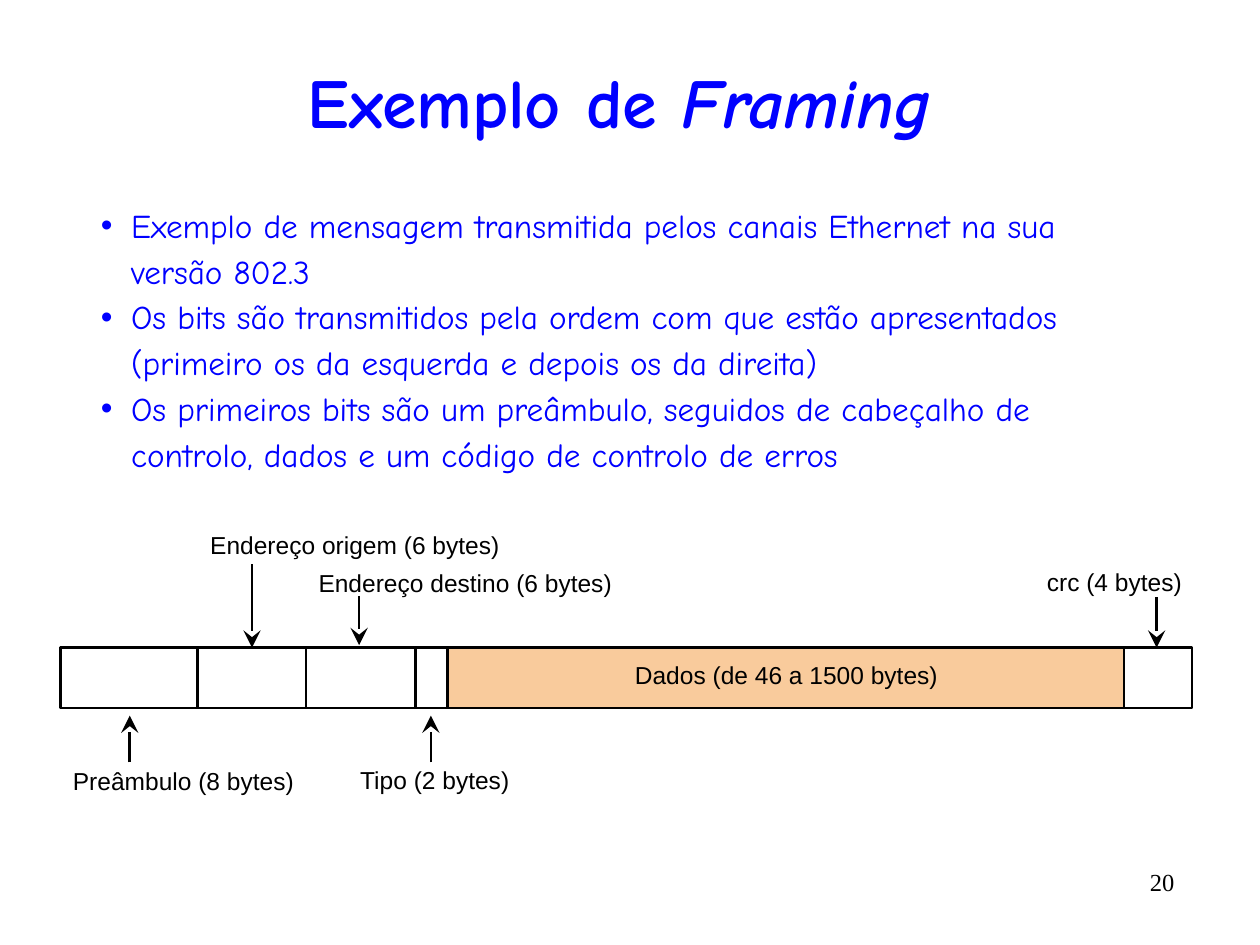
import pptx
import pptx.dml.color
import pptx.enum.shapes
import pptx.enum.text
import pptx.oxml
import pptx.oxml.ns
import pptx.util
from pptx.util import Inches

BLUE = pptx.dml.color.RGBColor(0x00, 0x00, 0xFF)
BLACK = pptx.dml.color.RGBColor(0x00, 0x00, 0x00)
ORANGE = pptx.dml.color.RGBColor(0xF9, 0xCB, 0x9C)
ALIGN = pptx.enum.text.PP_ALIGN
ANCHOR = pptx.enum.text.MSO_ANCHOR


def add_run(paragraph, text, size=14, font="Arial", color=BLACK, bold=False, italic=False):
    run = paragraph.add_run()
    run.text = text
    run.font.size = pptx.util.Pt(size)
    run.font.name = font
    run.font.color.rgb = color
    run.font.bold = bold
    run.font.italic = italic


def place(shape, left, top, width, height, anchor=ANCHOR.TOP, margin=0.05):
    """Position a text shape and set its frame; margin is the vertical inset."""
    shape.left, shape.top = Inches(left), Inches(top)
    shape.width, shape.height = Inches(width), Inches(height)
    frame = shape.text_frame
    frame.word_wrap = True
    frame.auto_size = pptx.enum.text.MSO_AUTO_SIZE.NONE
    frame.vertical_anchor = anchor
    frame.margin_left = frame.margin_right = Inches(0.1)
    frame.margin_top = frame.margin_bottom = Inches(margin)
    return frame


presentation = pptx.Presentation()
presentation.slide_width, presentation.slide_height = Inches(10), Inches(7.5)
slide = presentation.slides.add_slide(presentation.slide_layouts[1])

# Title
title = place(slide.shapes.title, 0.33, 0.42, 9.17, 0.75, ANCHOR.MIDDLE).paragraphs[0]
title.alignment = ALIGN.CENTER
for text, italic in [("Exemplo de ", False), ("Framing", True)]:
    add_run(title, text, size=40, font="Comic Neue", color=BLUE, bold=True, italic=italic)

# Bullet list
bullets = [
    "Exemplo de mensagem transmitida pelos canais Ethernet na sua versão 802.3",
    "Os bits são transmitidos pela ordem com que estão apresentados "
    "(primeiro os da esquerda e depois os da direita)",
    "Os primeiros bits são um preâmbulo, seguidos de cabeçalho de controlo, "
    "dados e um código de controlo de erros",
]
body = place(slide.placeholders[1], 0.7, 1.53, 8.43, 2.45)
for index, text in enumerate(bullets):
    paragraph = body.paragraphs[0] if index == 0 else body.add_paragraph()
    paragraph.line_spacing = 1.15
    paragraph.space_before = paragraph.space_after = pptx.util.Pt(0)
    properties = paragraph._p.get_or_add_pPr()
    properties.set("marL", str(Inches(0.24)))
    properties.set("indent", str(-Inches(0.25)))
    namespace = pptx.oxml.ns.nsdecls("a")
    properties.append(pptx.oxml.parse_xml(
        f'<a:buClr {namespace}><a:srgbClr val="{BLUE}"/></a:buClr>'))
    properties.append(pptx.oxml.parse_xml(f'<a:buChar {namespace} char="•"/>'))
    add_run(paragraph, text, size=19, font="Comic Neue", color=BLUE)

# Frame fields, left to right
FRAME_TOP, FRAME_HEIGHT = 5.14, 0.48
edges = [0.48, 1.57, 2.43, 3.3, 3.55, 8.92, 9.46]
DATA_FIELD = 4
for index, (left, right) in enumerate(zip(edges, edges[1:])):
    field = slide.shapes.add_shape(
        pptx.enum.shapes.MSO_SHAPE.RECTANGLE,
        Inches(left), Inches(FRAME_TOP), Inches(right - left), Inches(FRAME_HEIGHT))
    field.shadow.inherit = False
    field.line.color.rgb = BLACK
    field.line.width = pptx.util.Pt(1.5)
    if index == DATA_FIELD:
        field.fill.solid()
        field.fill.fore_color.rgb = ORANGE
    else:
        field.fill.background()

# Field labels
labels = [
    ("Endereço origem (6 bytes)", 1.57, 4.11, 2.81),
    ("Dados (de 46 a 1500 bytes)", 4.94, FRAME_TOP, 2.81),
    ("Tipo (2 bytes)", 2.76, 5.97, 1.58),
    ("Preâmbulo (8 bytes)", 0.48, 5.98, 2.15),
    ("crc (4 bytes)", 8.21, 4.4, 1.31),
    ("Endereço destino (6 bytes)", 2.43, 4.41, 2.94),
]
for text, left, top, width in labels:
    box = slide.shapes.add_textbox(0, 0, 0, 0)
    frame = place(box, left, top, width, 0.48, margin=0.1)
    add_run(frame.paragraphs[0], text)

# Arrows from labels to fields: x, start y, end y
arrows = [(1.03, 6.05, 5.68), (2.85, 4.73, 5.12), (3.42, 6.05, 5.68),
          (2, 4.48, FRAME_TOP), (9.18, 4.74, FRAME_TOP)]
for x, start, end in arrows:
    arrow = slide.shapes.add_connector(
        pptx.enum.shapes.MSO_CONNECTOR.STRAIGHT,
        Inches(x), Inches(start), Inches(x), Inches(end))
    arrow.line.color.rgb = BLACK
    arrow.line.width = pptx.util.Pt(1.5)
    namespace = pptx.oxml.ns.nsdecls("a")
    arrow.line._get_or_add_ln().append(pptx.oxml.parse_xml(
        f'<a:tailEnd {namespace} type="stealth" w="lg" len="lg"/>'))
    arrow._element.spPr.append(pptx.oxml.parse_xml(f"<a:effectLst {namespace}/>"))

# Slide number
number_box = slide.shapes.add_textbox(0, 0, 0, 0)
number = place(number_box, 8.42, 6.83, 1, 0.42).paragraphs[0]
number.alignment = ALIGN.RIGHT
add_run(number, "20", font="Times New Roman")

presentation.save("out.pptx")
